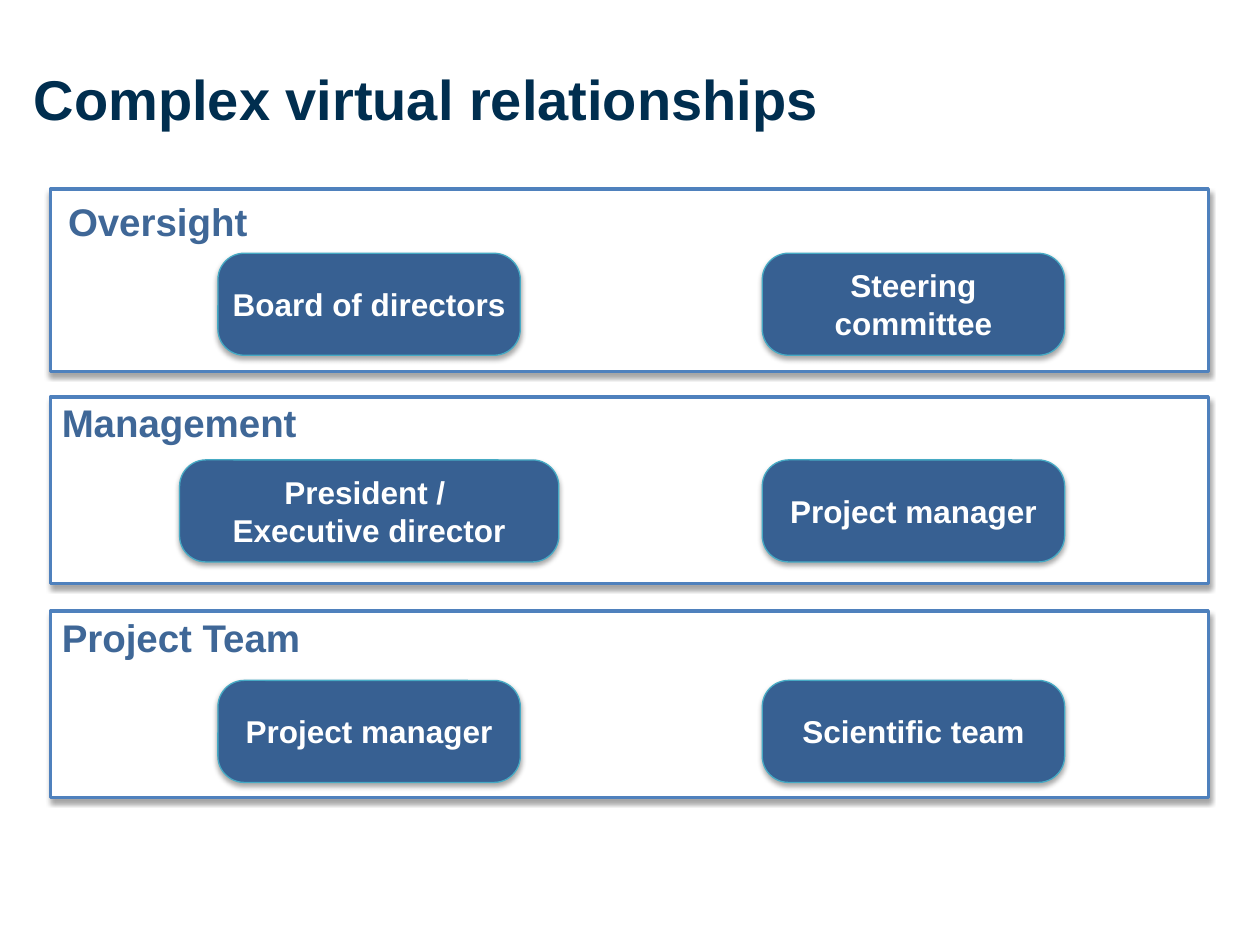
from dataclasses import dataclass

import pptx
import pptx.dml.color
import pptx.enum.shapes
import pptx.enum.text
import pptx.oxml
import pptx.oxml.ns
import pptx.util
from pptx.shapes.autoshape import Shape
from pptx.slide import Slide

CELL = pptx.util.Inches(0.1)
GRID_COLUMNS, GRID_ROWS = 100, 75
BAND_LEFT, BAND_WIDTH = 4, 91.9
HEADING_LEFT, HEADING_HEIGHT = 4.9, 4.5
LEFT_CENTRE, RIGHT_CENTRE = 29.3, 72.5
NODE_WIDTH, NODE_HEIGHT = 24, 8.1


@dataclass(frozen=True)
class Theme:
    font: str = "Arial"
    title: str = "002E4F"
    heading: str = "3F6797"
    band_fill: str = "FFFFFF"
    band_line: str = "4F81BD"
    node_fill: str = "376092"
    node_line: str = "46AAC4"
    node_text: str = "FFFFFF"
    title_size: int = 32
    heading_size: int = 22
    node_size: int = 18
    band_weight: float = 2
    node_weight: float = 0.75
    node_corner: float = 0.258


@dataclass(frozen=True)
class Area:
    left: float
    top: float
    width: float
    height: float

    def lengths(self) -> list[int]:
        return [round(cells * CELL) for cells in (self.left, self.top, self.width, self.height)]


@dataclass(frozen=True)
class Node:
    label: str
    centre: float
    width: float = NODE_WIDTH
    inset: float = 0


@dataclass(frozen=True)
class Band:
    heading: str
    top: float
    height: float
    node_top: float
    nodes: tuple[Node, ...]
    heading_width: float
    heading_inset: float = 0


THEME = Theme()
BANDS = (
    Band("Oversight", 15, 14.5, 20.1,
         (Node("Board of directors", LEFT_CENTRE, inset=0.5),
          Node("Steering committee", RIGHT_CENTRE)), 15.4, 0.5),
    Band("Management", 31.5, 14.8, 36.5,
         (Node("President / \vExecutive director", LEFT_CENTRE, 30.1),
          Node("Project manager", RIGHT_CENTRE)), 19.8),
    Band("Project Team", 48.5, 14.8, 54,
         (Node("Project manager", LEFT_CENTRE),
          Node("Scientific team", RIGHT_CENTRE)), 20.1),
)


def colour(value: str) -> pptx.dml.color.RGBColor:
    return pptx.dml.color.RGBColor.from_string(value)


def add_shadow(shape: Shape) -> None:
    shape.shadow.inherit = False
    effects = shape._element.spPr.find(pptx.oxml.ns.qn("a:effectLst"))
    effects.append(pptx.oxml.parse_xml(
        f'<a:outerShdw {pptx.oxml.ns.nsdecls("a")} blurRad="{pptx.util.Pt(3)}" '
        f'dist="{pptx.util.Pt(1.8)}" dir="5400000" rotWithShape="0">'
        '<a:srgbClr val="000000"><a:alpha val="35000"/></a:srgbClr></a:outerShdw>'))


def write(shape: Shape, text: str, size: int, ink: str, inset: float = 0,
          wrap: bool = True, middle: bool = True, centred: bool = False) -> None:
    frame = shape.text_frame
    margin = round(inset * CELL)
    frame.margin_left = frame.margin_right = frame.margin_top = frame.margin_bottom = margin
    frame.word_wrap = wrap
    anchors = pptx.enum.text.MSO_ANCHOR
    frame.vertical_anchor = anchors.MIDDLE if middle else anchors.TOP
    para = frame.paragraphs[0]
    para.text = text
    alignments = pptx.enum.text.PP_ALIGN
    para.alignment = alignments.CENTER if centred else alignments.LEFT
    para.font.name = THEME.font
    para.font.size = pptx.util.Pt(size)
    para.font.bold = True
    para.font.color.rgb = colour(ink)


def add_panel(page: Slide, kind: pptx.enum.shapes.MSO_SHAPE, area: Area,
              fill: str, line: str, weight: float) -> Shape:
    panel = page.shapes.add_shape(kind, *area.lengths())
    panel.fill.solid()
    panel.fill.fore_color.rgb = colour(fill)
    panel.line.color.rgb = colour(line)
    panel.line.width = pptx.util.Pt(weight)
    add_shadow(panel)
    return panel


def add_node(page: Slide, node: Node, top: float) -> None:
    area = Area(node.centre - node.width / 2, top, node.width, NODE_HEIGHT)
    box = add_panel(page, pptx.enum.shapes.MSO_SHAPE.ROUNDED_RECTANGLE, area,
                    THEME.node_fill, THEME.node_line, THEME.node_weight)
    box.adjustments[0] = THEME.node_corner
    write(box, node.label, THEME.node_size, THEME.node_text, node.inset, centred=True)


def add_band(page: Slide, band: Band) -> None:
    area = Area(BAND_LEFT, band.top, BAND_WIDTH, band.height)
    add_panel(page, pptx.enum.shapes.MSO_SHAPE.RECTANGLE, area,
              THEME.band_fill, THEME.band_line, THEME.band_weight)
    heading_area = Area(HEADING_LEFT, band.top + 0.2, band.heading_width, HEADING_HEIGHT)
    heading = page.shapes.add_textbox(*heading_area.lengths())
    write(heading, band.heading, THEME.heading_size, THEME.heading, band.heading_inset,
          wrap=False, middle=False)
    heading.text_frame.auto_size = pptx.enum.text.MSO_AUTO_SIZE.SHAPE_TO_FIT_TEXT
    for node in band.nodes:
        add_node(page, node, band.node_top)


def main() -> None:
    deck = pptx.Presentation()
    deck.slide_width = GRID_COLUMNS * CELL
    deck.slide_height = GRID_ROWS * CELL
    page = deck.slides.add_slide(deck.slide_layouts[6])
    title = page.shapes.add_textbox(*Area(1.7, 0, 95.8, 15.5).lengths())
    write(title, "Complex virtual relationships", THEME.title_size, THEME.title, inset=1)
    for band in BANDS:
        add_band(page, band)
    deck.save("out.pptx")


if __name__ == "__main__":
    main()
